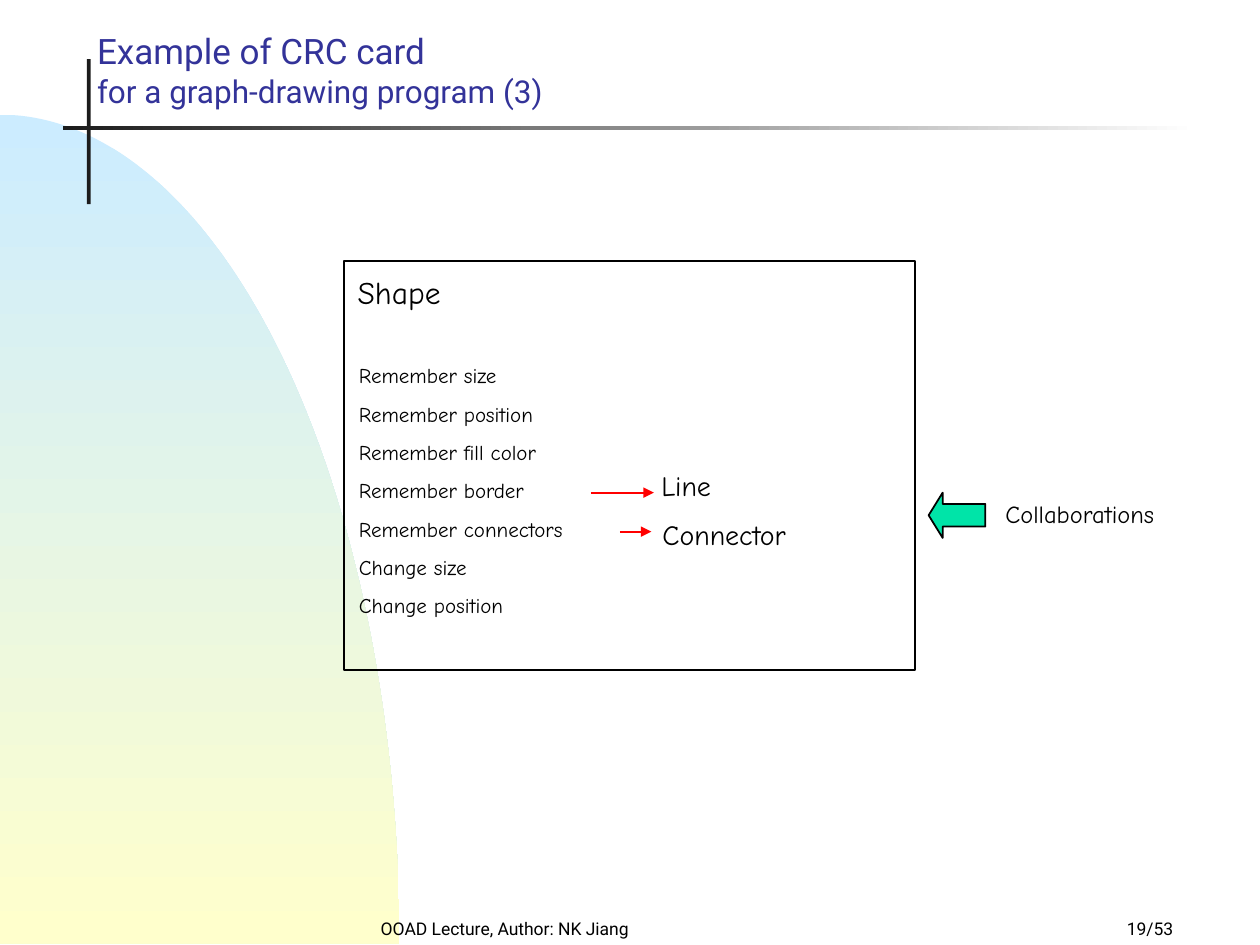
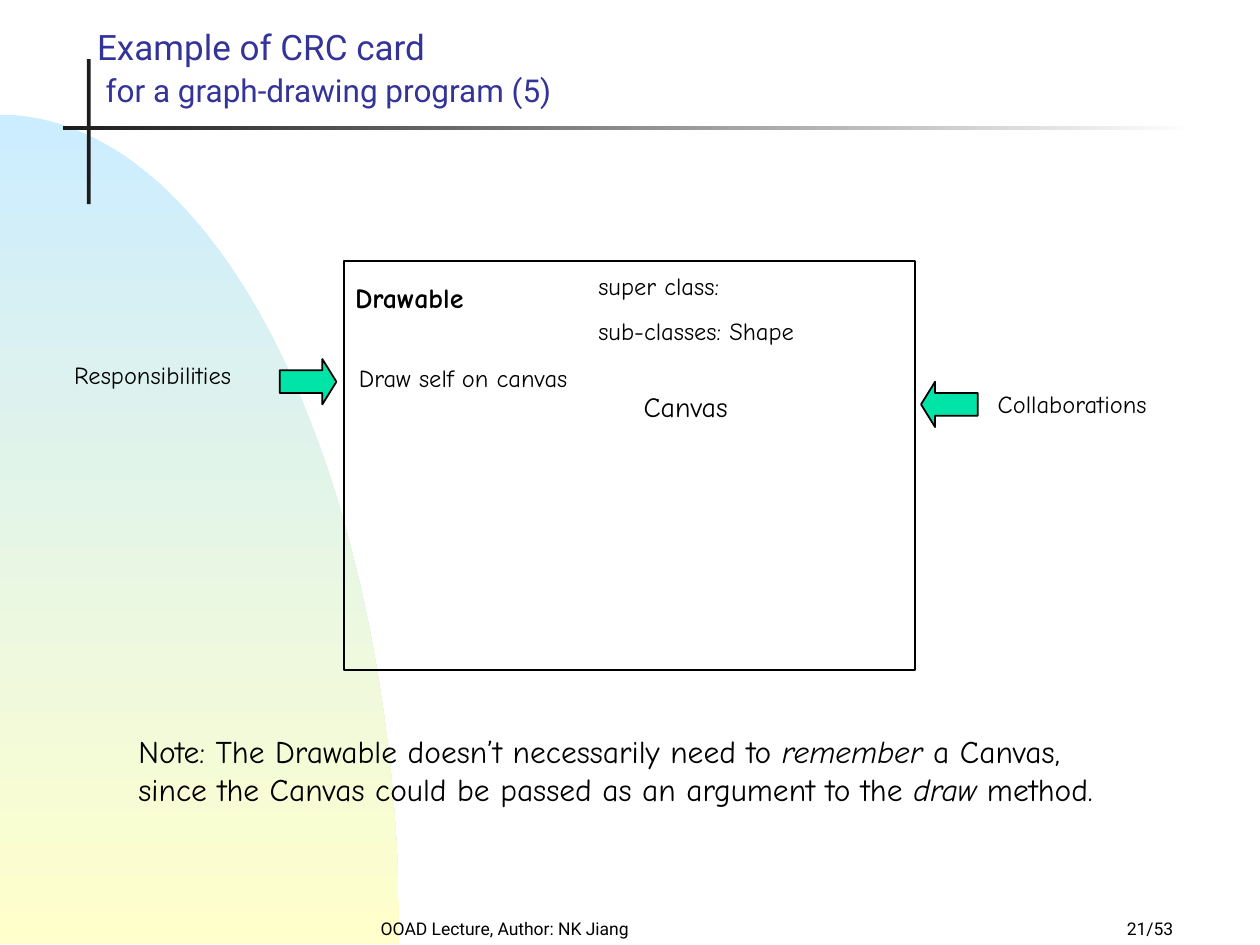
import math
from dataclasses import dataclass

import pptx
import pptx.dml.color
import pptx.enum.shapes
import pptx.enum.text
import pptx.oxml
import pptx.oxml.ns
import pptx.util
from pptx.util import Inches

Shapes = pptx.enum.shapes.MSO_SHAPE
Align = pptx.enum.text.PP_ALIGN
Anchor = pptx.enum.text.MSO_ANCHOR


@dataclass(frozen=True)
class Theme:
    heading_font: str = "Roboto"
    card_font: str = "Comic Neue"
    title: str = "333399"
    ink: str = "000000"
    rule: str = "1C1C1C"
    paper: str = "FFFFFF"
    sky: str = "CCECFF"
    sand: str = "FFFFCC"
    pointer: str = "00E4A8"
    link: str = "FF0000"
    title_size: int = 20
    large: int = 18
    medium: int = 16
    label: int = 14
    small: int = 12
    footer_size: int = 10


THEME = Theme()
FOOTER = "OOAD Lecture, Author: NK Jiang"
PAGE_COUNT = 53
CARD_BOX = (2.73, 2.07, 4.53, 3.25)
POINTER_SIZE = (0.45, 0.36)

# Text entries: box, paragraphs, format. A paragraph is a string or a list of (text, format) runs.
SLIDES = [
    {
        "page": 19,
        "title": ["Example of CRC card",
                  [("for a graph-drawing program (3)", {"size": THEME.large})]],
        "texts": [
            ((2.74, 2.12, 0.86, 0.4), ["Shape"], {"size": THEME.large, "wrap": False}),
            ((2.75, 2.83, 2.24, 2.13),
             ["Remember size", "Remember position", "Remember fill color",
              "Remember border", "Remember connectors", "Change size", "Change position"],
             {"size": THEME.small, "space_before": 7.5}),
            ((5.15, 3.67, 2, 0.37), ["Line"], {"size": THEME.medium}),
            ((5.16, 4.06, 2, 0.37), ["Connector"], {"size": THEME.medium}),
            ((7.88, 3.91, 1.38, 0.34), ["Collaborations"], {"wrap": False}),
        ],
        "pointers": [(Shapes.LEFT_ARROW, 7.37, 3.91)],
        "links": [(4.69, 5.19, 3.91), (4.92, 5.17, 4.22)],
    },
    {
        "page": 21,
        "title": ["Example of CRC card",
                  [(" ", {}), ("for a graph-drawing program (5)", {"size": THEME.large})]],
        "texts": [
            ((2.72, 2.18, 1.07, 0.37), ["Drawable"],
             {"size": THEME.medium, "bold": True, "wrap": False}),
            ((4.65, 2.1, 1.75, 0.69), ["super class:", "sub-classes: Shape"],
             {"space_before": 8.8, "wrap": False}),
            ((2.75, 2.83, 1.9, 0.34), ["Draw self on canvas"], {}),
            ((5.01, 3.04, 2, 0.37), ["Canvas"], {"size": THEME.medium}),
            ((0.49, 2.81, 1.45, 0.34), ["Responsibilities"], {"wrap": False}),
            ((7.82, 3.04, 1.38, 0.34), ["Collaborations"], {"wrap": False}),
            ((1, 5.76, 7.8, 0.7),
             [[("Note: The Drawable doesn’t necessarily need to ", {}),
               ("remember", {"italic": True}), (" a Canvas,", {})],
              [("since the Canvas could be passed as an argument to the ", {}),
               ("draw", {"italic": True}), (" method.", {})]],
             {"size": THEME.large, "wrap": False}),
        ],
        "pointers": [(Shapes.RIGHT_ARROW, 2.22, 2.85), (Shapes.LEFT_ARROW, 7.31, 3.03)],
        "links": [],
    },
]


def rgb(color):
    return pptx.dml.color.RGBColor.from_string(color)


def inches(box):
    return [Inches(length) for length in box]


def write_text(frame, paragraphs, *, size=THEME.label, font=THEME.card_font,
               color=THEME.ink, bold=False, align=Align.LEFT, anchor=Anchor.TOP,
               space_before=0, wrap=True):
    frame.word_wrap = wrap
    frame.auto_size = pptx.enum.text.MSO_AUTO_SIZE.NONE
    frame.vertical_anchor = anchor
    for index, content in enumerate(paragraphs):
        paragraph = frame.add_paragraph() if index else frame.paragraphs[0]
        paragraph.alignment = align
        paragraph.space_before = pptx.util.Pt(space_before)
        runs = [(content, {})] if isinstance(content, str) else content
        for text, style in runs:
            run = paragraph.add_run()
            run.text = text
            run.font.name = font
            run.font.size = pptx.util.Pt(style.get("size", size))
            run.font.bold = bold
            run.font.italic = style.get("italic", False)
            run.font.color.rgb = rgb(color)


def add_text(slide, box, paragraphs, **text_format):
    write_text(slide.shapes.add_textbox(*inches(box)).text_frame, paragraphs, **text_format)


def style_shape(shape, fill=None, line=None):
    """Set fill (None, a colour, or (start, end, angle) for a gradient) and outline."""
    shape.shadow.inherit = False
    if fill is None:
        shape.fill.background()
    elif isinstance(fill, str):
        shape.fill.solid()
        shape.fill.fore_color.rgb = rgb(fill)
    else:
        start, end, angle = fill
        shape.fill.gradient()
        shape.fill.gradient_angle = angle
        for stop, color in zip(shape.fill.gradient_stops, (start, end)):
            stop.color.rgb = rgb(color)
    if line is None:
        shape.line.fill.background()
    else:
        shape.line.color.rgb = rgb(line)
        shape.line.width = pptx.util.Pt(1)


def add_shape(slide, kind, box, **style):
    shape = slide.shapes.add_shape(kind, *inches(box))
    style_shape(shape, **style)
    return shape


def add_quarter_ellipse(slide, width=3.17, top=0.91, bottom=7.49, steps=90):
    angles = [math.pi / 2 * step / steps for step in range(steps + 1)]
    arc = [(width * math.sin(angle), bottom - (bottom - top) * math.cos(angle))
           for angle in angles]
    builder = slide.shapes.build_freeform(0, Inches(bottom))
    builder.add_line_segments([inches(point) for point in arc], close=True)
    shape = builder.convert_to_shape()
    style_shape(shape, fill=(THEME.sky, THEME.sand, 270))
    return shape


def decorate_layout(layout, slide):
    """Draw the shared background on a slide, then move it into the layout."""
    title = layout.placeholders[0]
    title.left, title.top, title.width, title.height = inches((0.67, 0.17, 7.08, 0.75))
    decorations = [
        add_quarter_ellipse(slide),
        add_shape(slide, Shapes.RECTANGLE, (0.69, 0.47, 0.03, 1.15), fill=THEME.rule),
        add_shape(slide, Shapes.RECTANGLE, (0.5, 1, 9, 0.03),
                  fill=(THEME.rule, THEME.paper, 0)),
    ]
    for number, shape in enumerate(decorations, start=100):
        shape.element.xpath(".//p:cNvPr")[0].set("id", str(number))
        layout.shapes.element.append(shape.element)


def add_link(slide, start, end, height):
    """Draw a horizontal arrow between two card entries."""
    connector = slide.shapes.add_connector(
        pptx.enum.shapes.MSO_CONNECTOR.STRAIGHT, *inches((start, height, end, height)))
    connector.line.color.rgb = rgb(THEME.link)
    connector.line.width = pptx.util.Pt(1)
    line = connector.line.fill and connector.element.spPr.find(pptx.oxml.ns.qn("a:ln"))
    line.append(pptx.oxml.parse_xml(
        f'<a:tailEnd {pptx.oxml.ns.nsdecls("a")} type="triangle"/>'))
    connector.element.spPr.append(pptx.oxml.parse_xml(
        f'<a:effectLst {pptx.oxml.ns.nsdecls("a")}/>'))


def fill_slide(slide, content):
    write_text(slide.shapes.title.text_frame, content["title"], size=THEME.title_size,
               font=THEME.heading_font, color=THEME.title, anchor=Anchor.BOTTOM)
    footers = [((2.42, 7.17, 3.17, 0.33), FOOTER, Align.CENTER),
               ((7.33, 7.17, 2.08, 0.33), f"{content['page']}/{PAGE_COUNT}", Align.RIGHT)]
    for box, text, align in footers:
        add_text(slide, box, [text], size=THEME.footer_size, font=THEME.heading_font,
                 align=align, anchor=Anchor.BOTTOM)
    add_shape(slide, Shapes.RECTANGLE, CARD_BOX, line=THEME.ink)
    for box, paragraphs, text_format in content["texts"]:
        add_text(slide, box, paragraphs, **text_format)
    for kind, left, top in content["pointers"]:
        pointer = add_shape(slide, kind, (left, top, *POINTER_SIZE),
                            fill=THEME.pointer, line=THEME.ink)
        pointer.adjustments[0] = 0.5
        pointer.adjustments[1] = 0.31
    for link in content["links"]:
        add_link(slide, *link)


def main():
    presentation = pptx.Presentation()
    presentation.slide_width, presentation.slide_height = inches((10, 7.5))
    layout = presentation.slide_layouts.get_by_name("Title Only")
    slides = [presentation.slides.add_slide(layout) for _ in SLIDES]
    decorate_layout(layout, slides[0])
    for slide, content in zip(slides, SLIDES):
        fill_slide(slide, content)
    presentation.save("out.pptx")


if __name__ == "__main__":
    main()
